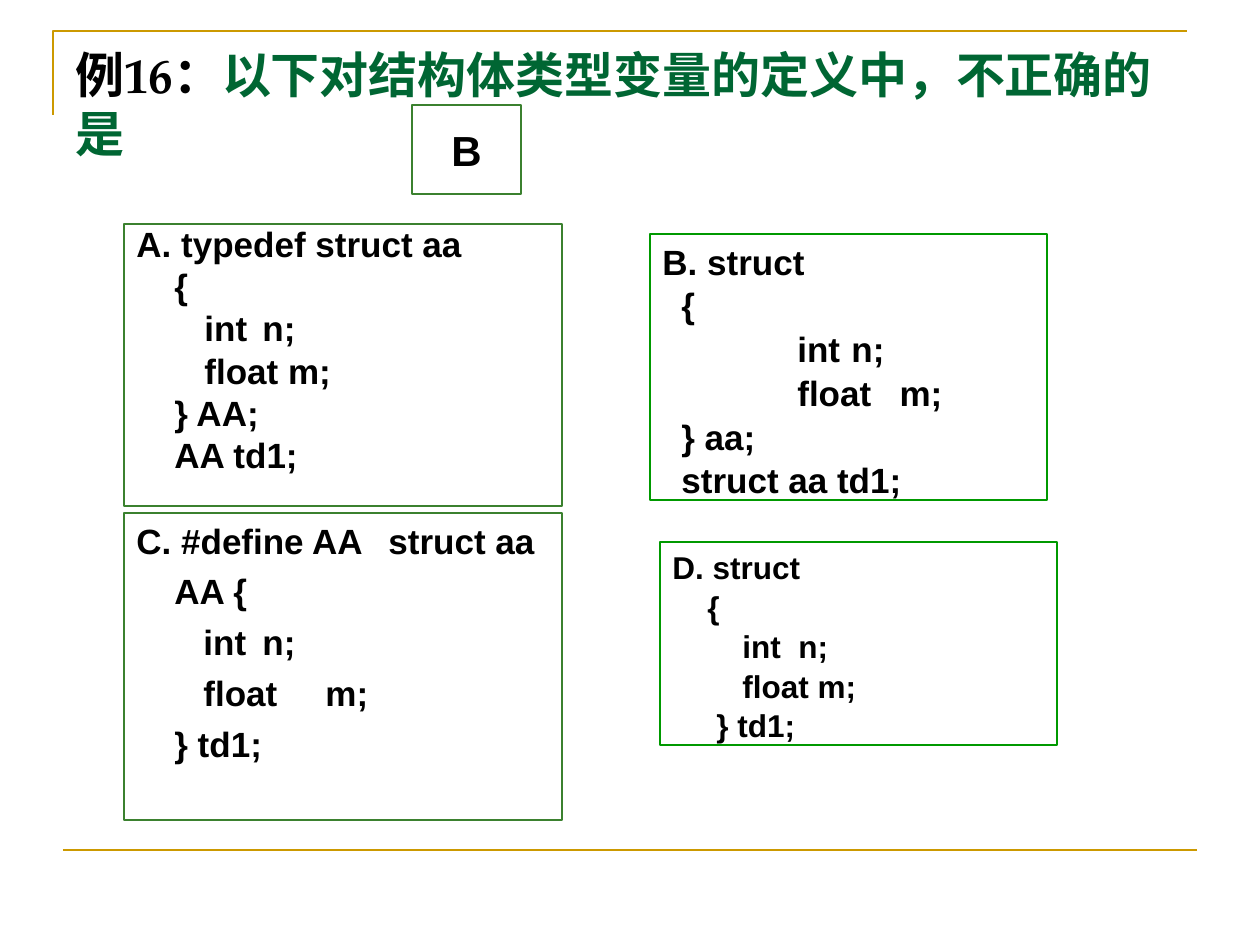
from lxml import etree
from pptx import Presentation
from pptx import util as u
from pptx.dml.color import RGBColor
from pptx.enum import shapes, text
from pptx.oxml import ns

SCALE = 914400 // 126
GOLD, GREEN, LEAF, DARK, BLACK = "CC9900", "3B812F", "009900", "006633", "000000"


def px(length):
    return u.Emu(length * SCALE)


def color(value):
    return RGBColor.from_string(value)


def set_line(shape, value, width):
    shape.line.color.rgb = color(value)
    shape.line.width = u.Pt(width)


def format_run(run, size, font, value):
    run.font.size = u.Pt(size)
    run.font.name = font
    run.font.bold = True
    run.font.color.rgb = color(value)


def set_indent(paragraph, indent, tab):
    properties = paragraph._p.get_or_add_pPr()
    properties.set("marL", "0")
    properties.set("indent", str(px(indent)))
    if tab:
        stops = etree.SubElement(properties, ns.qn("a:tabLst"))
        etree.SubElement(stops, ns.qn("a:tab"), pos=str(px(tab)), algn="l")


def add_frame(slide, left, top, width, height):
    builder = slide.shapes.build_freeform(px(left), px(top + height))
    builder.add_line_segments(
        [(px(left), px(top)), (px(left + width), px(top))], close=False)
    corner = builder.convert_to_shape()
    corner.shadow.inherit = False
    corner.fill.background()
    set_line(corner, GOLD, 1.5)


def add_rule(slide, left, top, width):
    rule = slide.shapes.add_connector(
        shapes.MSO_CONNECTOR.STRAIGHT, px(left), px(top), px(left + width), px(top))
    etree.SubElement(rule._element.spPr, ns.qn("a:effectLst"))
    set_line(rule, GOLD, 1.5)


def add_title(slide, left, top, width, height):
    title = slide.shapes.add_textbox(px(left), px(top), px(width), px(height))
    title.text_frame.word_wrap = True
    paragraph = title.text_frame.paragraphs[0]
    for words, value in (("例16：", BLACK),
                         ("以下对结构体类型变量的定义中，不正确的是", DARK)):
        run = paragraph.add_run()
        run.text = words
        format_run(run, 28, "TeX Gyre Pagella", value)


def add_box(slide, left, top, width, height, outline):
    box = slide.shapes.add_shape(
        shapes.MSO_SHAPE.RECTANGLE, px(left), px(top), px(width), px(height))
    box.shadow.inherit = False
    box.fill.background()
    set_line(box, outline, 0.75)
    return box


def add_option(slide, box, outline, size, gap, spacing, lines):
    frame = add_box(slide, *box, outline).text_frame
    frame.word_wrap = True
    frame.vertical_anchor = text.MSO_ANCHOR.TOP
    frame.text = "\n".join(words for words, indent, tab in lines)
    for index, (paragraph, line) in enumerate(zip(frame.paragraphs, lines)):
        paragraph.alignment = text.PP_ALIGN.LEFT
        paragraph.line_spacing = spacing
        paragraph.space_before = u.Pt(gap if index else 0)
        set_indent(paragraph, line[1], line[2])
        for run in paragraph.runs:
            format_run(run, size, "Arial", BLACK)


def add_answer(slide, left, top, width, height):
    frame = add_box(slide, left, top, width, height, GREEN).text_frame
    frame.word_wrap = False
    frame.vertical_anchor = text.MSO_ANCHOR.MIDDLE
    frame.text = "B"
    paragraph = frame.paragraphs[0]
    paragraph.alignment = text.PP_ALIGN.CENTER
    format_run(paragraph.runs[0], 24, "Arial", BLACK)


OPTIONS = [
    ((124, 224, 438, 282), GREEN, 20, 5, 0.8, [
        ("A. typedef struct aa", 0, 0), ("{", 38, 0), ("int\tn;", 68, 140),
        ("float m;", 68, 0), ("} AA;", 38, 0), ("AA td1;", 38, 0)]),
    ((650, 234, 397, 266), LEAF, 20, 1, 1.0, [
        ("B. struct", 0, 0), ("{", 19, 0), ("int\tn;", 135, 252),
        ("float\tm;", 135, 252), ("} aa;", 19, 0), ("struct aa td1;", 19, 0)]),
    ((124, 513, 438, 307), GREEN, 20, 5, 1.0, [
        ("C. #define AA\tstruct aa", 0, 264), ("AA {", 38, 0),
        ("int\tn;", 67, 173), ("float\tm;", 67, 173), ("} td1;", 38, 0)]),
    ((660, 542, 397, 203), LEAF, 18, 1, 1.0, [
        ("D. struct", 0, 0), ("{", 35, 0), ("int\tn;", 70, 126),
        ("float m;", 70, 0), ("} td1;", 44, 0)]),
]


def main():
    presentation = Presentation()
    presentation.slide_width = px(1260)
    presentation.slide_height = px(945)
    slide = presentation.slides.add_slide(presentation.slide_layouts[6])
    add_frame(slide, 53, 31, 1134, 84)
    add_rule(slide, 63, 850, 1134)
    add_title(slide, 63, 38, 1134, 157)
    for option in OPTIONS:
        add_option(slide, *option)
    add_answer(slide, 412, 105, 109, 89)
    presentation.save("out.pptx")


if __name__ == "__main__":
    main()
